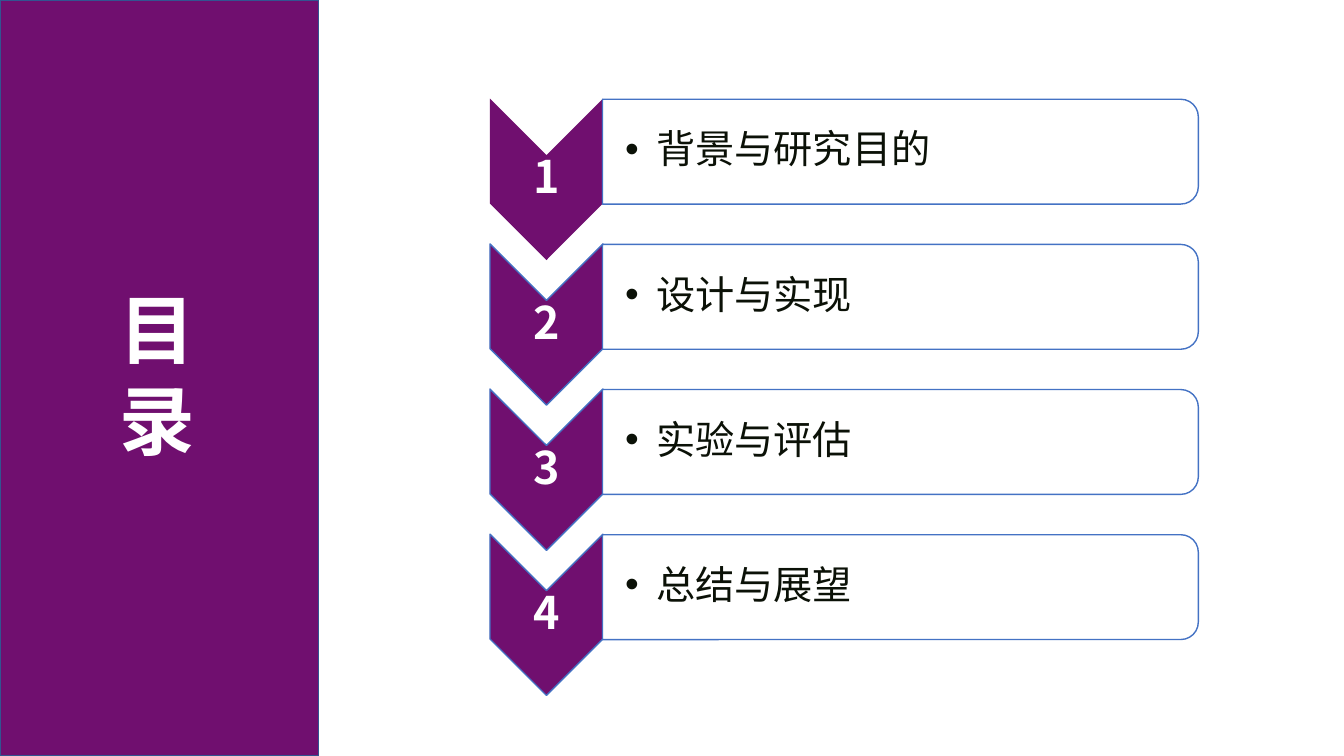
from lxml.etree import SubElement
from pptx import Presentation
from pptx.dml.color import RGBColor
from pptx.enum.shapes import MSO_SHAPE
from pptx.enum.text import MSO_ANCHOR, PP_ALIGN
from pptx.oxml.ns import qn
from pptx.util import Inches, Pt

PURPLE = RGBColor(0x70, 0x0F, 0x6F)
WHITE = RGBColor(0xFF, 0xFF, 0xFF)
INK = RGBColor(0x0B, 0x11, 0x07)
BLUE = RGBColor(0x44, 0x72, 0xC4)
DARK_BLUE = RGBColor(0x32, 0x54, 0x91)

CHAPTERS = ["背景与研究目的", "设计与实现", "实验与评估", "总结与展望"]
ROW_PITCH = 1.44


class AgendaSlide:
    font_name = "Noto Sans CJK SC"

    def __init__(self, slide):
        self.shapes = slide.shapes

    def shape(self, kind, left, top, width, height, fill, line=None, rotation=0):
        shape = self.shapes.add_shape(
            kind, Inches(left), Inches(top), Inches(width), Inches(height))
        shape.shadow.inherit = False
        shape.rotation = rotation
        shape.fill.solid()
        shape.fill.fore_color.rgb = fill
        if line is None:
            shape.line.fill.background()
        else:
            shape.line.color.rgb = line
            shape.line.width = Pt(1)

    def text(self, words, left, top, width, height, size, color, bold=False,
             align=PP_ALIGN.LEFT, anchor=MSO_ANCHOR.MIDDLE,
             side=0.02, edge=0.02, spacing=0.9):
        """Add one paragraph; side is the left inset, edge the other three."""
        box = self.shapes.add_textbox(
            Inches(left), Inches(top), Inches(width), Inches(height))
        frame = box.text_frame
        frame.word_wrap = True
        frame.vertical_anchor = anchor
        frame.margin_left = Inches(side)
        frame.margin_right = frame.margin_top = frame.margin_bottom = Inches(edge)
        frame.text = words
        paragraph = frame.paragraphs[0]
        paragraph.alignment = align
        paragraph.line_spacing = spacing
        run = paragraph.runs[0]
        run.font.size = Pt(size)
        run.font.bold = bold
        run.font.color.rgb = color
        run.font.name = self.font_name
        SubElement(run.font._element, qn("a:ea"), typeface=self.font_name)
        return paragraph

    def bullet(self, words, left, top, width, height):
        paragraph = self.text(words, left, top, width, height, 28, INK, side=0.22)
        paragraph.level = 1
        properties = paragraph._p.get_or_add_pPr()
        properties.set("marL", str(Inches(0.31)))
        properties.set("indent", str(-Inches(0.31)))
        SubElement(properties, qn("a:buFont"), typeface="Arial")
        SubElement(properties, qn("a:buChar"), char="•")

    def chapter(self, number, title, top, chevron_line):
        self.shape(MSO_SHAPE.CHEVRON, 4.62, top, 1.6, 1.12,
                   PURPLE, chevron_line, rotation=90)
        self.text(str(number), 4.86, top + 0.32, 1.12, 0.48, 32, WHITE,
                  bold=True, align=PP_ALIGN.CENTER)
        self.shape(MSO_SHAPE.ROUND_2_SAME_RECTANGLE, 8.41, top - 2.67, 1.04, 5.91,
                   WHITE, BLUE, rotation=90)
        self.bullet(title, 5.98, top - 0.19, 5.86, 0.94)


def main():
    deck = Presentation()
    deck.slide_width = Inches(13.33)
    deck.slide_height = Inches(7.5)
    agenda = AgendaSlide(deck.slides.add_slide(deck.slide_layouts[6]))

    agenda.shape(MSO_SHAPE.RECTANGLE, 0, 0, 3.16, 7.5, PURPLE, DARK_BLUE)
    agenda.text("目录", 1.09, 2.76, 0.97, 1.92, 54, WHITE, bold=True,
                align=PP_ALIGN.JUSTIFY, anchor=MSO_ANCHOR.TOP,
                side=0.1, edge=0.05, spacing=1.0)
    for index, title in enumerate(CHAPTERS):
        agenda.chapter(index + 1, title, 1.22 + index * ROW_PITCH,
                       BLUE if index else None)

    deck.save("out.pptx")


if __name__ == "__main__":
    main()
